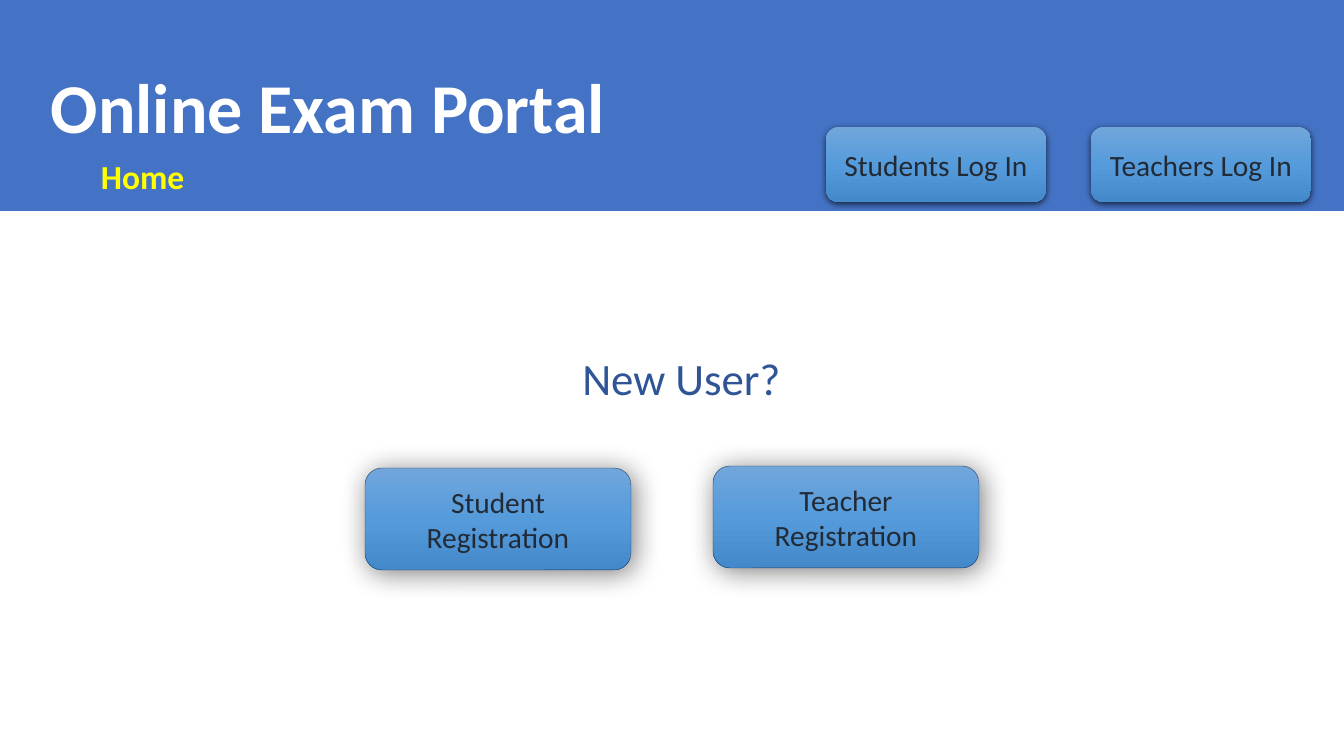
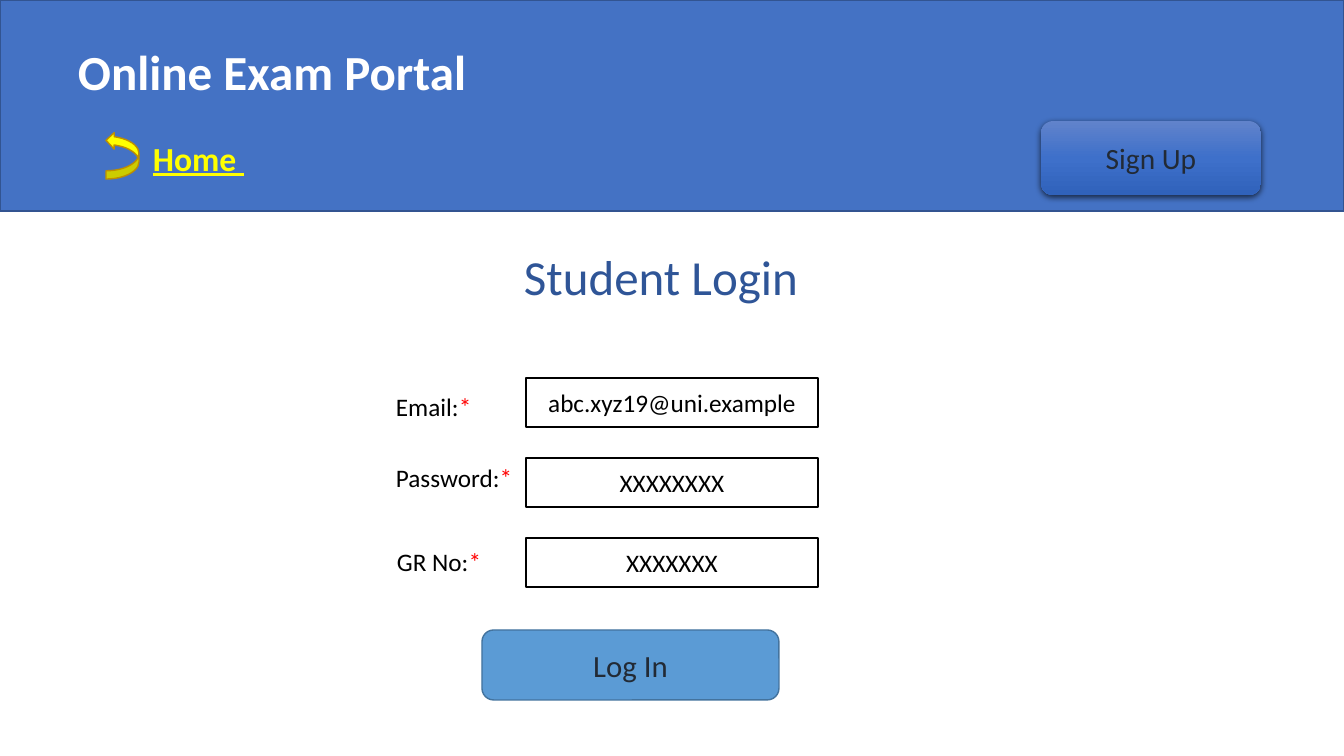
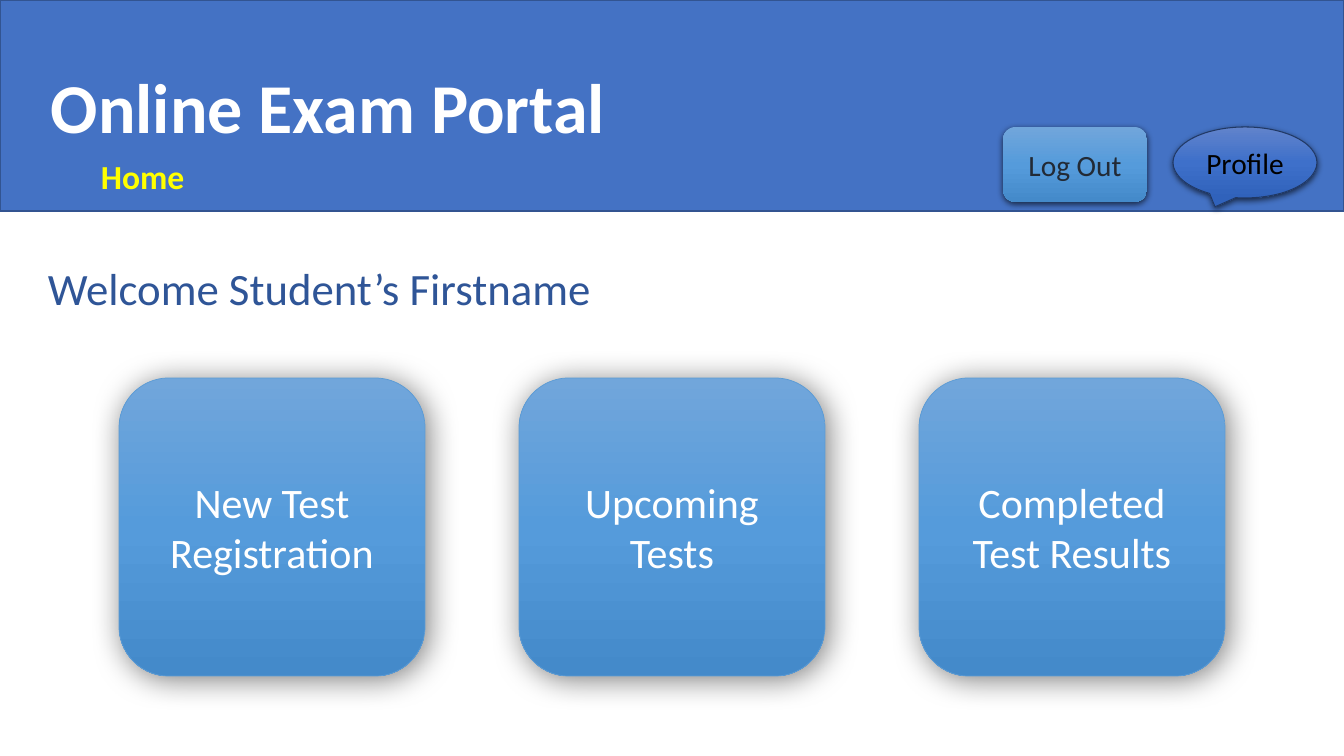
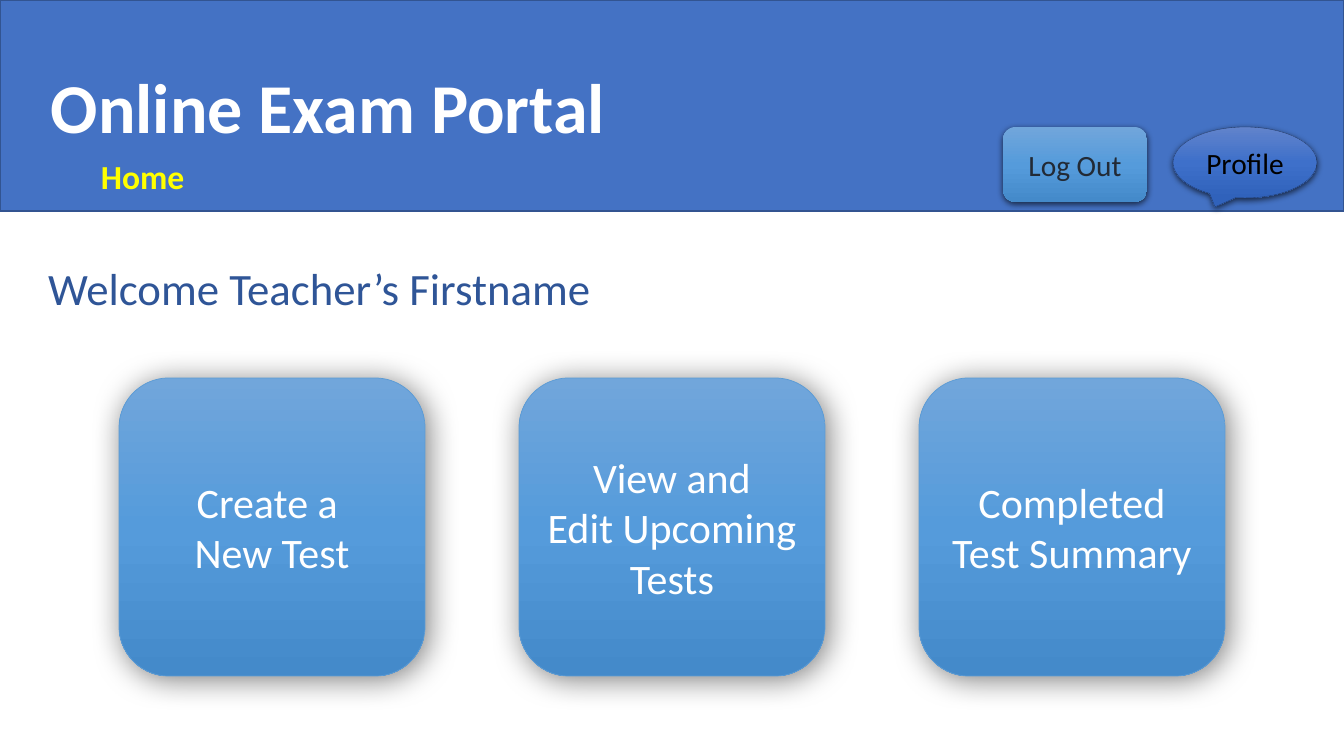
from lxml import etree
from pptx import Presentation
from pptx.dml.color import RGBColor
from pptx.enum.shapes import MSO_SHAPE
from pptx.enum.text import MSO_ANCHOR, MSO_AUTO_SIZE, PP_ALIGN
from pptx.oxml.ns import qn
from pptx.util import Emu, Pt

RECT, ROUNDED = MSO_SHAPE.RECTANGLE, MSO_SHAPE.ROUNDED_RECTANGLE
BALLOON, BACK_ARROW = MSO_SHAPE.OVAL_CALLOUT, MSO_SHAPE.CURVED_UP_ARROW
TOP, MIDDLE = MSO_ANCHOR.TOP, MSO_ANCHOR.MIDDLE
LEFT, CENTER = PP_ALIGN.LEFT, PP_ALIGN.CENTER

BLUE = RGBColor(0x44, 0x72, 0xC4)
BLUE_EDGE = RGBColor(0x32, 0x54, 0x91)
HEADING_BLUE = RGBColor(0x2F, 0x55, 0x97)
NAVY = RGBColor(0x20, 0x38, 0x64)
SKY = RGBColor(0x5B, 0x9B, 0xD5)
SKY_EDGE = RGBColor(0x43, 0x73, 0x9E)
INK = RGBColor(0x22, 0x2A, 0x35)
BLACK = RGBColor(0, 0, 0)
WHITE = RGBColor(0xFF, 0xFF, 0xFF)
RED = RGBColor(0xFF, 0, 0)
YELLOW = RGBColor(0xFF, 0xFF, 0)
GOLD = RGBColor(0xBD, 0x8E, 0)
SKY_FADE = [RGBColor(0x71, 0xA6, 0xDB), RGBColor(0x55, 0x9B, 0xDB), RGBColor(0x44, 0x8A, 0xCA)]
BLUE_FADE = [RGBColor(0x61, 0x83, 0xCB), RGBColor(0x3E, 0x70, 0xCA), RGBColor(0x30, 0x62, 0xBB)]

# Shadows: opacity in percent, blur and distance in points, direction in degrees
LOW_SHADOW = (63, 4.5, 1.5, 90)
WIDE_SHADOW = (50, 20, 3, 45)
CARD_SHADOW = (50, 22, 3, 45)

# Text styles: font values, colour, alignment, anchor
BAND_TITLE = ({"size": Pt(50), "bold": True}, WHITE, LEFT, MIDDLE)
SMALL_TITLE = ({"size": Pt(35), "bold": True}, WHITE, LEFT, TOP)
HOME = ({"size": Pt(24), "bold": True}, YELLOW, LEFT, TOP)
HOME_LINK = ({"size": Pt(24), "bold": True, "underline": True}, YELLOW, LEFT, TOP)
HEADING = ({"size": Pt(32)}, HEADING_BLUE, CENTER, TOP)
LOGIN_HEADING = ({"size": Pt(35)}, HEADING_BLUE, LEFT, TOP)
BUTTON = ({"size": Pt(21)}, INK, CENTER, MIDDLE)
LOGIN_BUTTON = ({"size": Pt(22)}, INK, CENTER, MIDDLE)
PROFILE = ({"size": Pt(21)}, BLACK, CENTER, MIDDLE)
CARD = ({"size": Pt(30)}, WHITE, CENTER, MIDDLE)
LABEL = ({"size": Pt(18)}, BLACK, LEFT, TOP)
FIELD = ({"size": Pt(18)}, BLACK, CENTER, MIDDLE)

SLIDE_W, SLIDE_H, BAND_H = 1344, 756, 211
PX = 12192000 / SLIDE_W


def write(shape, box, lines, style):
    """Place a shape and fill it with lines, each a list of (text, colour or None)."""
    for side, length in zip(("left", "top", "width", "height"), box):
        setattr(shape, side, Emu(round(length * PX)))
    font_values, color, align, anchor = style
    frame = shape.text_frame
    frame.word_wrap, frame.auto_size = True, MSO_AUTO_SIZE.NONE
    frame.vertical_anchor = anchor
    for number, line in enumerate(lines):
        paragraph = frame.add_paragraph() if number else frame.paragraphs[0]
        paragraph.alignment = align
        for text, run_color in line:
            run = paragraph.add_run()
            run.text = text
            for name, value in {"name": "Calibri", **font_values}.items():
                setattr(run.font, name, value)
            run.font.color.rgb = run_color or color


def add_part(slide, preset, box, text, style, fill=None, line=None, shadow=None):
    """Add a preset shape; a list as fill is a gradient, line is (colour, points)."""
    part = slide.shapes.add_shape(preset, 0, 0, 0, 0)
    write(part, box, [[(row, None)] for row in text.split("\n")] if text else [], style)
    properties = part._element.spPr
    if isinstance(fill, list):
        part.fill.gradient()
        part.fill.gradient_angle = 270
        stops = properties.find(qn("a:gradFill")).find(qn("a:gsLst"))
        stops[:] = []
        for position, color in zip((0, 50000, 100000), fill):
            stop = etree.SubElement(stops, qn("a:gs"), pos=str(position))
            etree.SubElement(stop, qn("a:srgbClr"), val=str(color))
    elif fill is not None:
        part.fill.solid()
        part.fill.fore_color.rgb = fill
    else:
        part.fill.background()
    if line:
        part.line.color.rgb, part.line.width = line[0], Pt(line[1])
    else:
        part.line.fill.background()
    part.shadow.inherit = False
    if shadow:
        opacity, blur, distance, direction = shadow
        outer = etree.SubElement(
            properties.find(qn("a:effectLst")), qn("a:outerShdw"),
            blurRad=str(Pt(blur)), dist=str(Pt(distance)),
            dir=str(direction * 60000), algn="ctr", rotWithShape="0")
        tint = etree.SubElement(outer, qn("a:srgbClr"), val=str(BLACK))
        etree.SubElement(tint, qn("a:alpha"), val=str(opacity * 1000))
    return part


deck = Presentation()
deck.slide_width, deck.slide_height = Emu(round(SLIDE_W * PX)), Emu(round(SLIDE_H * PX))

# Header band (the title itself) and Home entry of every slide
for is_login in (False, True, False, False):
    slide = deck.slides.add_slide(deck.slide_layouts[5])
    band = slide.shapes.title
    write(band, (0, 0, SLIDE_W, BAND_H), [[("Online Exam Portal", None)]],
          SMALL_TITLE if is_login else BAND_TITLE)
    band.text_frame.margin_left = Emu(round((78 if is_login else 51) * PX))
    if is_login:
        band.text_frame.margin_top = Emu(round(42 * PX))
    band.fill.solid()
    band.fill.fore_color.rgb = BLUE
    home_box = (143, 133, 130, 50) if is_login else (91, 151, 112, 50)
    write(slide.shapes.add_textbox(0, 0, 0, 0), home_box,
          [[("Home " if is_login else "Home", None)]], HOME_LINK if is_login else HOME)

start, login, student, teacher = deck.slides
for slide in (login, student, teacher):
    slide.shapes.title.line.color.rgb = BLUE_EDGE
    slide.shapes.title.line.width = Pt(1)

# Start page: log-in and registration buttons
for left, text in ((826, "Students Log In"), (1091, "Teachers Log In")):
    add_part(start, ROUNDED, (left, 127, 220, 75), text, BUTTON, SKY_FADE, None, LOW_SHADOW)
write(start.shapes.add_textbox(0, 0, 0, 0), (507, 346, 349, 65),
      [[("New User?", None)]], HEADING)
for left, top, text in ((365, 468, "Student Registration"), (713, 466, "Teacher Registration")):
    add_part(start, ROUNDED, (left, top, 266, 102), text, BUTTON, SKY_FADE,
             (NAVY, 0.25), WIDE_SHADOW)

# Student login: header controls and form
add_part(login, ROUNDED, (1041, 121, 220, 74), "Sign Up", BUTTON, BLUE_FADE, None, LOW_SHADOW)
back = add_part(login, BACK_ARROW, (99, 139, 47, 33), "", BUTTON, YELLOW, (GOLD, 1))
back.rotation = 270
write(login.shapes.add_textbox(0, 0, 0, 0), (514, 242, 297, 70),
      [[("Student Login", None)]], LOGIN_HEADING)
fields = (
    ("Email:", 386, 386, "abc.xyz19@uni.example"),
    ("Password:", 386, 457, "XXXXXXXX"),
    ("GR No:", 387, 541, "XXXXXXX"),
)
for row, (label, left, top, entry) in enumerate(fields):
    write(login.shapes.add_textbox(0, 0, 0, 0), (left, top, 139, 40),
          [[(label, None), ("*", RED)]], LABEL)
    add_part(login, RECT, (526, 378 + 80 * row, 292, 49), entry, FIELD, None, (BLACK, 1))
add_part(login, ROUNDED, (482, 630, 297, 70), "Log In", LOGIN_BUTTON, SKY, (SKY_EDGE, 1))

# Student and teacher dashboards
dashboards = (
    (student, "Welcome Student’s Firstname", 0.75,
     ("New Test\nRegistration", "Upcoming\nTests", "Completed\nTest Results")),
    (teacher, "Welcome Teacher’s Firstname", 0.25,
     ("Create a \nNew Test", "View and\nEdit Upcoming\nTests", "Completed\nTest Summary")),
)
for slide, welcome, profile_edge, cards in dashboards:
    add_part(slide, ROUNDED, (1003, 127, 144, 75), "Log Out", BUTTON, SKY_FADE, None, LOW_SHADOW)
    add_part(slide, BALLOON, (1173, 127, 144, 71), "Profile", PROFILE, BLUE_FADE,
             (NAVY, profile_edge), LOW_SHADOW)
    write(slide.shapes.add_textbox(0, 0, 0, 0), (25, 256, 589, 65),
          [[(welcome, None)]], HEADING)
    for column, text in enumerate(cards):
        add_part(slide, ROUNDED, (119 + 400 * column, 378, 306, 298), text, CARD, SKY_FADE,
                 (SKY, 0.5), CARD_SHADOW)

deck.save("out.pptx")
